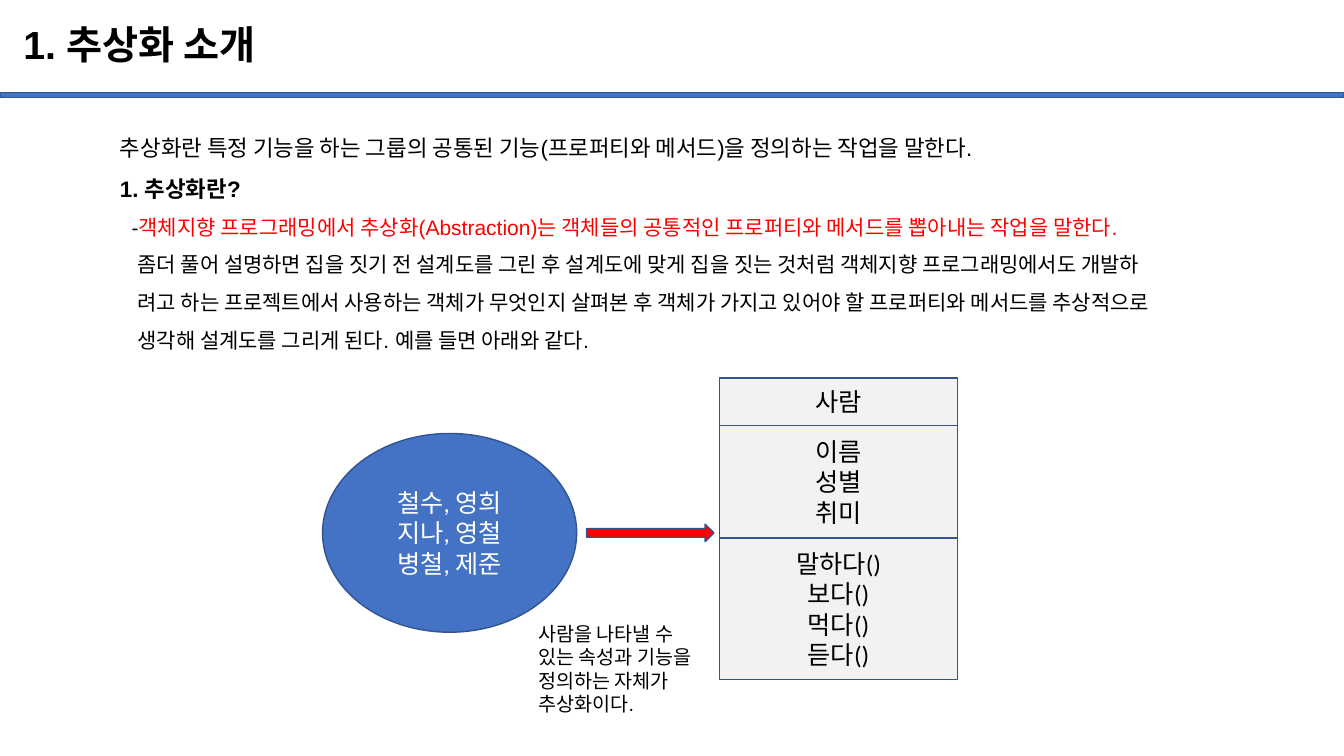
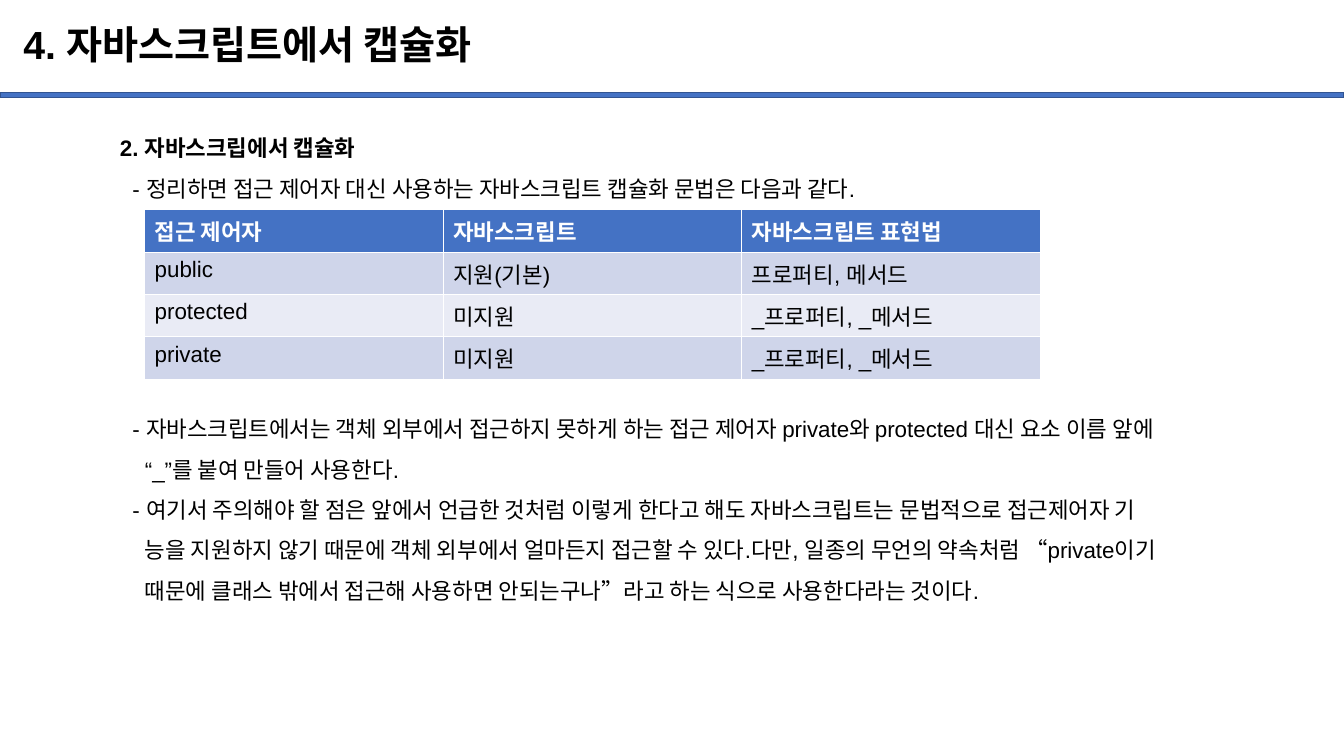
from dataclasses import dataclass
from lxml import etree
from pptx import Presentation
from pptx.dml.color import RGBColor
from pptx.enum.shapes import MSO_SHAPE
from pptx.enum.text import MSO_ANCHOR, MSO_AUTO_SIZE, PP_ALIGN
from pptx.oxml.ns import qn
from pptx.util import Pt

RECTANGLE = MSO_SHAPE.RECTANGLE
OVAL = MSO_SHAPE.OVAL
RIGHT_ARROW = MSO_SHAPE.RIGHT_ARROW
MIDDLE = MSO_ANCHOR.MIDDLE
TOP = MSO_ANCHOR.TOP
LEFT = PP_ALIGN.LEFT
CENTER = PP_ALIGN.CENTER
NO_AUTOFIT = MSO_AUTO_SIZE.NONE


@dataclass(frozen=True)
class Theme:
    text_font: str = "Arial"
    diagram_font: str = "Calibri"
    title_size: float = 28
    body_size: float = 16
    detail_size: float = 15
    diagram_size: float = 18
    caption_size: float = 14
    black: str = "000000"
    white: str = "FFFFFF"
    accent: str = "4472C4"
    outline: str = "325491"
    highlight: str = "FF0000"
    panel: str = "F2F2F2"
    odd_row: str = "CFD5EA"
    even_row: str = "E9EBF5"


THEME = Theme()
SLIDE_WIDTH = 960
SLIDE_HEIGHT = 540
TITLE_BOX = (9.5, 7, 828, 53.5)
BAND_BOX = (0, 66.2, SLIDE_WIDTH, 3.6)
BODY_LEFT, BODY_TOP, BODY_WIDTH = 78.5, 82.8, 844
BAND_ID = 20


@dataclass(frozen=True)
class Line:
    runs: tuple
    size: float = THEME.body_size
    bold: bool = False
    indent: float = 0
    before: float = 0


def apply_format(target, values):
    for attribute, value in values.items():
        setattr(target, attribute, value)


def place(target, box):
    names = ("left", "top", "width", "height")
    apply_format(target, {name: Pt(value) for name, value in zip(names, box)})


def write_run(paragraph, text, size, color=THEME.black, bold=False, font=THEME.text_font):
    run = paragraph.add_run()
    run.text = text
    apply_format(run.font, {"name": font, "size": Pt(size), "bold": bold})
    run.font.color.rgb = RGBColor.from_string(color)


def paragraphs_for(frame, lines):
    for index, line in enumerate(lines):
        yield (frame.add_paragraph() if index else frame.paragraphs[0]), line


def write_lines(frame, lines, align, **run_format):
    for paragraph, line in paragraphs_for(frame, lines):
        paragraph.alignment = align
        write_run(paragraph, line, **run_format)


def write_title(slide, text):
    frame = slide.shapes.title.text_frame
    apply_format(frame, {"vertical_anchor": MIDDLE, "auto_size": NO_AUTOFIT})
    paragraph = frame.paragraphs[0]
    apply_format(paragraph, {"alignment": LEFT, "line_spacing": 0.9})
    write_run(paragraph, text, THEME.title_size, bold=True)


def write_body(slide, lines, height):
    body = slide.placeholders[1]
    place(body, (BODY_LEFT, BODY_TOP, BODY_WIDTH, height))
    frame = body.text_frame
    apply_format(frame, {"vertical_anchor": TOP, "auto_size": NO_AUTOFIT, "word_wrap": True})
    for paragraph, line in paragraphs_for(frame, lines):
        apply_format(paragraph, {
            "alignment": LEFT,
            "line_spacing": 1.5,
            "space_before": Pt(line.before),
            "space_after": Pt(0),
        })
        properties = paragraph._p.get_or_add_pPr()
        properties.set("marL", str(Pt(line.indent)))
        properties.set("indent", "0")
        etree.SubElement(properties, qn("a:buNone"))
        for text, color in line.runs:
            write_run(paragraph, text, line.size, color, line.bold)


def add_figure(slide, preset, box, fill, labels=(), color=THEME.black):
    figure = slide.shapes.add_shape(preset, *map(Pt, box))
    figure.shadow.inherit = False
    figure.fill.solid()
    figure.fill.fore_color.rgb = RGBColor.from_string(fill)
    figure.line.color.rgb = RGBColor.from_string(THEME.outline)
    figure.line.width = Pt(1)
    figure.text_frame.vertical_anchor = MIDDLE
    write_lines(figure.text_frame, labels, CENTER, size=THEME.diagram_size,
                color=color, font=THEME.diagram_font)
    return figure


def add_caption(slide, box, lines):
    frame = slide.shapes.add_textbox(*map(Pt, box)).text_frame
    frame.word_wrap = True
    write_lines(frame, lines, LEFT, size=THEME.caption_size)


def add_class_diagram(slide, left, top, width, sections):
    for height, labels in sections:
        add_figure(slide, RECTANGLE, (left, top, width, height), THEME.panel, labels)
        top += height


def add_grid(slide, box, rows):
    table = slide.shapes.add_table(len(rows), len(rows[0]), *map(Pt, box)).table
    for row_index, row in enumerate(rows):
        header = row_index == 0
        stripe = THEME.odd_row if row_index % 2 else THEME.even_row
        for column_index, text in enumerate(row):
            cell = table.cell(row_index, column_index)
            cell.fill.solid()
            cell.fill.fore_color.rgb = RGBColor.from_string(THEME.accent if header else stripe)
            write_run(cell.text_frame.paragraphs[0], text, THEME.body_size,
                      THEME.white if header else THEME.black, header)


def add_band(layout, slide):
    band = add_figure(slide, RECTANGLE, BAND_BOX, THEME.accent)
    band.element.nvSpPr.cNvPr.set("id", str(BAND_ID))
    layout.shapes.element.append(band.element)


def plain(text, **line_format):
    return Line(((text, THEME.black),), **line_format)


def build_abstraction(slide):
    write_title(slide, "1. 추상화 소개")
    detail = {"size": THEME.detail_size, "indent": 12.5}
    definition = "객체지향 프로그래밍에서 추상화(Abstraction)는 객체들의 공통적인 프로퍼티와 메서드를 뽑아내는 작업을 말한다."
    write_body(slide, [
        plain("추상화란 특정 기능을 하는 그룹의 공통된 기능(프로퍼티와 메서드)을 정의하는 작업을 말한다."),
        plain("1. 추상화란?", bold=True),
        Line((("-", THEME.black), (definition, THEME.highlight)),
             size=THEME.detail_size, indent=8.4),
        plain("좀더 풀어 설명하면 집을 짓기 전 설계도를 그린 후 설계도에 맞게 집을 짓는 것처럼 객체지향 프로그래밍에서도 개발하", **detail),
        plain("려고 하는 프로젝트에서 사용하는 객체가 무엇인지 살펴본 후 객체가 가지고 있어야 할 프로퍼티와 메서드를 추상적으로", **detail),
        plain("생각해 설계도를 그리게 된다. 예를 들면 아래와 같다.", **detail),
    ], 170.6)
    add_figure(slide, OVAL, (230.4, 309.6, 181.5, 142), THEME.accent,
               ("철수, 영희", "지나, 영철", "병철, 제준"), THEME.white)
    add_class_diagram(slide, 514, 270, 170, [
        (34, ("사람",)),
        (80.3, ("이름", "성별", "취미")),
        (101.3, ("말하다()", "보다()", "먹다()", "듣다()")),
    ])
    add_figure(slide, RIGHT_ARROW, (419, 374.4, 91, 12.5), THEME.highlight)
    add_caption(slide, (377.3, 440.6, 137.5, 75),
                ("사람을 나타낼 수", "있는 속성과 기능을", "정의하는 자체가", "추상화이다."))


def build_encapsulation(slide):
    write_title(slide, "4. 자바스크립트에서 캡슐화")
    item, continuation, table_gap = 8.9, 17.8, 143.3
    write_body(slide, [
        plain("2. 자바스크립에서 캡슐화", bold=True),
        plain("- 정리하면 접근 제어자 대신 사용하는 자바스크립트 캡슐화 문법은 다음과 같다.", indent=item),
        plain("- 자바스크립트에서는 객체 외부에서 접근하지 못하게 하는 접근 제어자 private와 protected 대신 요소 이름 앞에",
              indent=item, before=table_gap),
        plain("“_”를 붙여 만들어 사용한다.", indent=continuation),
        plain("- 여기서 주의해야 할 점은 앞에서 언급한 것처럼 이렇게 한다고 해도 자바스크립트는 문법적으로 접근제어자 기", indent=item),
        plain("능을 지원하지 않기 때문에 객체 외부에서 얼마든지 접근할 수 있다.다만, 일종의 무언의 약속처럼 “private이기", indent=continuation),
        plain("때문에 클래스 밖에서 접근해 사용하면 안되는구나”라고 하는 식으로 사용한다라는 것이다.", indent=continuation),
    ], 352.8)
    add_grid(slide, (103.3, 149.8, 640, 116.8), [
        ("접근 제어자", "자바스크립트", "자바스크립트 표현법"),
        ("public", "지원(기본)", "프로퍼티, 메서드"),
        ("protected", "미지원", "_프로퍼티, _메서드"),
        ("private", "미지원", "_프로퍼티, _메서드"),
    ])


def main():
    presentation = Presentation()
    apply_format(presentation, {"slide_width": Pt(SLIDE_WIDTH), "slide_height": Pt(SLIDE_HEIGHT)})
    layout = presentation.slide_layouts[1]
    place(layout.placeholders[0], TITLE_BOX)
    abstraction, encapsulation = (presentation.slides.add_slide(layout) for _ in range(2))
    add_band(layout, abstraction)
    build_abstraction(abstraction)
    build_encapsulation(encapsulation)
    presentation.save("out.pptx")


main()
